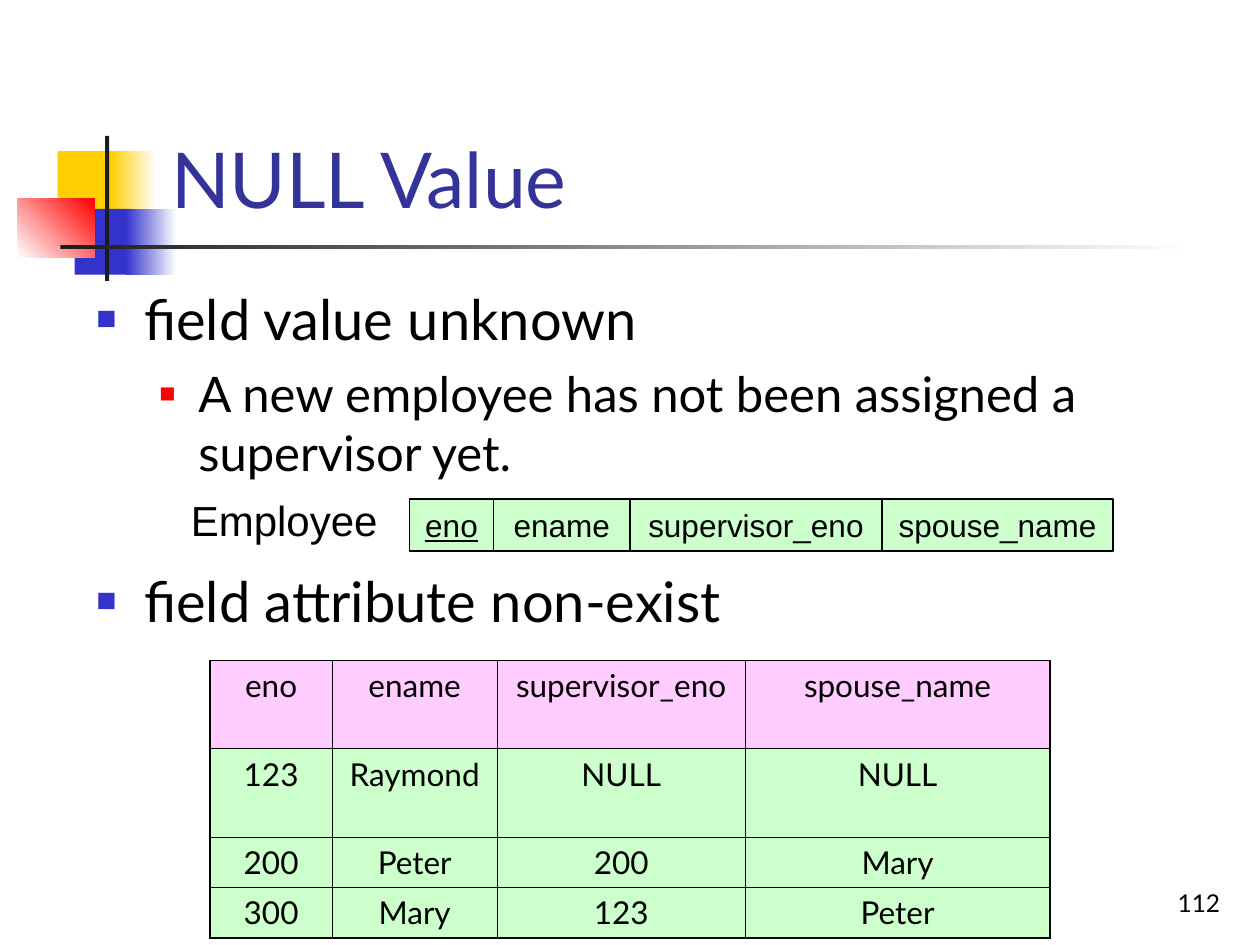
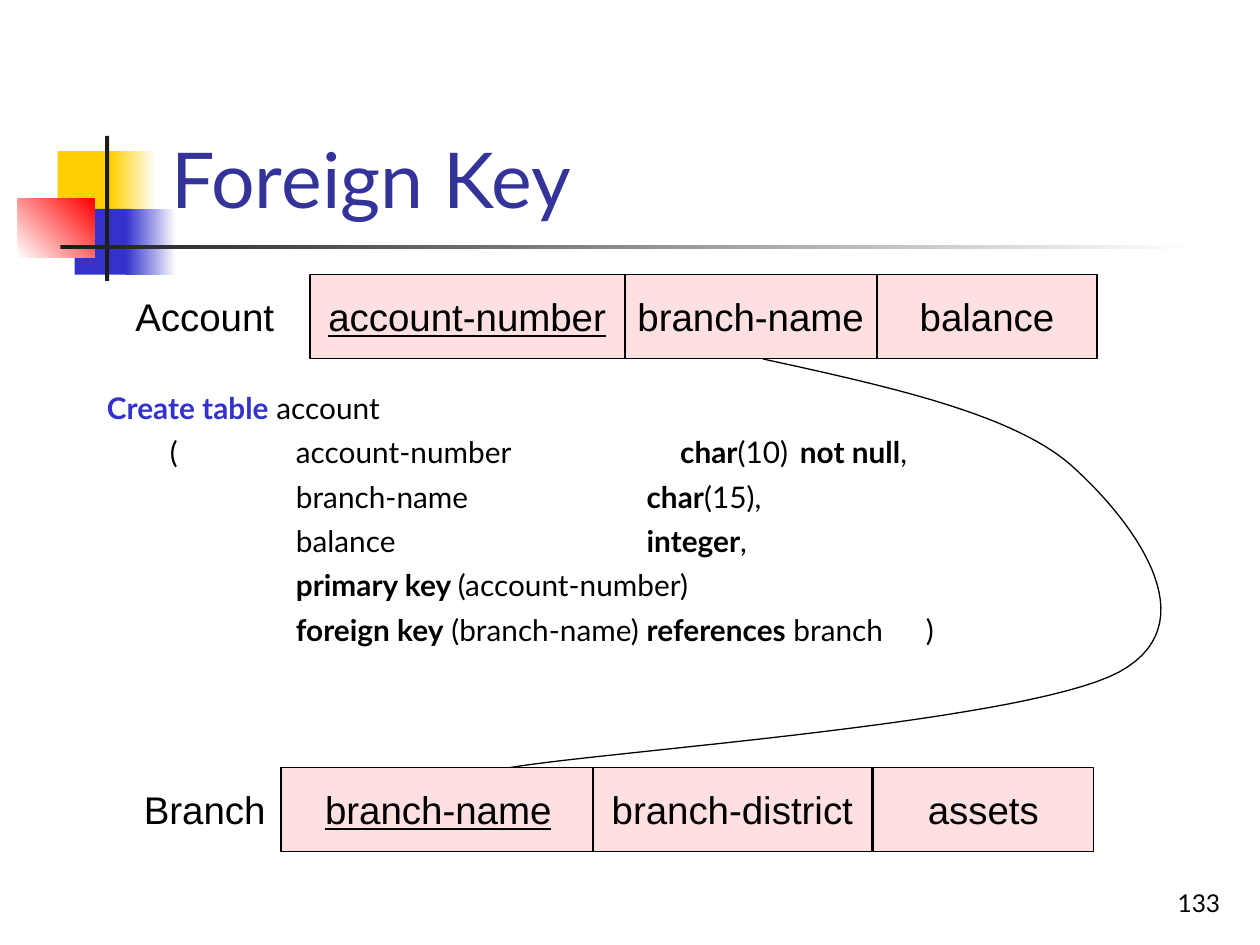
from lxml.etree import SubElement
from pptx import Presentation
from pptx.dml.color import RGBColor
from pptx.enum.shapes import MSO_SHAPE as Shape
from pptx.enum.text import MSO_ANCHOR as Anchor, MSO_AUTO_SIZE as AutoSize, PP_ALIGN as Align
from pptx.oxml.ns import qn
from pptx.util import Inches, Pt

# Shared look; every position is in grid units, 12 to the inch (120 columns, 90 rows)
UNITS_PER_INCH = 12
HEADING_FONT, LABEL_FONT = "Lato", "Arial"
BLACK, WHITE, CHARCOAL = "000000", "FFFFFF", "1C1C1C"
YELLOW, BLUE, RED, NAVY = "FFCF01", "3333CC", "FF0000", "333399"
GREEN, PINK, ROSE = "CCFFCC", "FFCCFF", "FFE0E0"

# Left, top, width, height, gradient or plain colours, angle
MOTIF = [
    (5.5, 14.4, 5.8, 6.25, [YELLOW], 0),
    (10.55, 14.4, 4.3, 6.25, [YELLOW, WHITE], 0),
    (7.1, 19.9, 5.5, 6.25, [BLUE], 0),
    (12, 19.9, 4.8, 6.25, [BLUE, WHITE], 0),
    (1.7, 18.95, 7.3, 5.55, [WHITE, RED], 45),
    (10, 12.95, 0.4, 13.8, [CHARCOAL], 0),
    (5.75, 23.35, 108, 0.4, [CHARCOAL, WHITE], 0),
]


def grid(*units):
    return [Inches(unit / UNITS_PER_INCH) for unit in units]


def color(hex_string):
    return RGBColor.from_string(hex_string)


def add_run(paragraph, text, size, font=HEADING_FONT, ink=BLACK, bold=False, underline=False):
    run = paragraph.add_run()
    run.text = text
    run.font.name, run.font.size = font, Pt(size)
    run.font.color.rgb = color(ink)
    run.font.bold, run.font.underline = bold, underline


def add_rectangle(slide, bounds, colors, angle=0, outline=None):
    shape = slide.shapes.add_shape(Shape.RECTANGLE, *grid(*bounds))
    shape.shadow.inherit = False
    if len(colors) == 1:
        shape.fill.solid()
        shape.fill.fore_color.rgb = color(colors[0])
    else:
        shape.fill.gradient()
        shape.fill.gradient_angle = angle
        for stop, hex_string in zip(shape.fill.gradient_stops, colors):
            stop.color.rgb = color(hex_string)
    if outline:
        shape.line.color.rgb = color(outline)
        shape.line.width = Pt(1)
    else:
        shape.line.fill.background()
    return shape


def add_text_box(slide, bounds, anchor=Anchor.TOP, wrap=True):
    frame = slide.shapes.add_textbox(*grid(*bounds)).text_frame
    frame.word_wrap, frame.vertical_anchor = wrap, anchor
    return frame


def add_label(slide, text, bounds, size, align=Align.CENTER, font=LABEL_FONT,
              anchor=Anchor.MIDDLE, wrap=False):
    paragraph = add_text_box(slide, bounds, anchor, wrap).paragraphs[0]
    paragraph.alignment = align
    add_run(paragraph, text, size, font)


def add_base_slide(presentation, title, number):
    slide = presentation.slides.add_slide(presentation.slide_layouts[5])
    for *bounds, colors, angle in MOTIF:
        add_rectangle(slide, bounds, colors, angle)
    add_label(slide, number, (92.4, 82, 25, 6), 14, Align.RIGHT, HEADING_FONT,
              Anchor.BOTTOM, wrap=True)

    # The title stands in front of the motif
    heading = slide.shapes.title
    heading.left, heading.top, heading.width, heading.height = grid(15.1, 2.75, 102.25, 19.2)
    frame = heading.text_frame
    frame.auto_size, frame.vertical_anchor = AutoSize.NONE, Anchor.BOTTOM
    frame.paragraphs[0].alignment = Align.LEFT
    add_run(frame.paragraphs[0], title, 44, ink=NAVY)
    heading.element.getparent().append(heading.element)
    return slide


def add_schema(slide, top, height, fields, fill, size):
    """A row of attribute boxes, of which the first is the underlined key."""
    for index, (name, left, width) in enumerate(fields):
        box = add_rectangle(slide, (left, top, width, height), [fill], outline=BLACK)
        frame = box.text_frame
        frame.word_wrap, frame.vertical_anchor = False, Anchor.MIDDLE
        frame.paragraphs[0].alignment = Align.CENTER
        add_run(frame.paragraphs[0], name, size, LABEL_FONT, underline=index == 0)


def next_paragraph(frame, index):
    return frame.add_paragraph() if index else frame.paragraphs[0]


def set_bullet(paragraph, margin, hanging, ink, percent):
    properties = paragraph._p.get_or_add_pPr()
    properties.set("marL", str(Inches(margin)))
    properties.set("indent", str(-Inches(hanging)))
    bullet_color = SubElement(properties, qn("a:buClr"))
    SubElement(bullet_color, qn("a:srgbClr"), val=ink)
    SubElement(properties, qn("a:buSzPct"), val=str(percent * 1000))
    SubElement(properties, qn("a:buFont"), typeface=LABEL_FONT)
    SubElement(properties, qn("a:buChar"), char="■")


def add_bullets(slide, bounds, items):
    styles = [(32, 0.38, 0.38, BLUE, 60), (28, 0.81, 0.31, RED, 55)]
    frame = add_text_box(slide, bounds)
    for index, (level, space_before, text) in enumerate(items):
        size, *bullet = styles[level]
        paragraph = next_paragraph(frame, index)
        set_bullet(paragraph, *bullet)
        paragraph.space_before = Pt(space_before)
        add_run(paragraph, text, size)


def set_borders(cell, widths):
    properties = cell._tc.get_or_add_tcPr()
    for side, width in zip("LRTB", widths):
        line = SubElement(properties, qn(f"a:ln{side}"), w=str(Pt(width)))
        fill = SubElement(line, qn("a:solidFill"))
        SubElement(fill, qn("a:srgbClr"), val=BLACK)


def add_records(slide, left, top, columns, heights, records):
    bounds = grid(left, top, sum(columns), sum(heights))
    table = slide.shapes.add_table(len(records), len(columns), *bounds).table
    for column, width in zip(table.columns, grid(*columns)):
        column.width = width
    for row, height in zip(table.rows, grid(*heights)):
        row.height = height
    last_row, last_column = len(records) - 1, len(columns) - 1
    for r, record in enumerate(records):
        for c, value in enumerate(record):
            cell = table.cell(r, c)
            on_edge = (c == 0, c == last_column, r == 0, r == last_row)
            set_borders(cell, [1.08 if edge else 0.45 for edge in on_edge])
            cell.fill.solid()
            cell.fill.fore_color.rgb = color(GREEN if r else PINK)
            paragraph = cell.text_frame.paragraphs[0]
            paragraph.alignment = Align.CENTER
            add_run(paragraph, value, 18)


def add_statement(slide, bounds, lines):
    """Each line is its tab stops, then runs of (text, bold, colour)."""
    frame = add_text_box(slide, bounds)
    for index, (stops, runs) in enumerate(lines):
        paragraph = next_paragraph(frame, index)
        tabs = SubElement(paragraph._p.get_or_add_pPr(), qn("a:tabLst"))
        for position in grid(*stops):
            SubElement(tabs, qn("a:tab"), pos=str(position), algn="l")
        if index:
            paragraph.space_before = Pt(5)
        for text, bold, ink in runs:
            add_run(paragraph, text, 17, ink=ink, bold=bold)


def plain(text):
    return text, False, BLACK


def keyword(text, ink=BLACK):
    return text, True, ink


def add_curve(slide, start, segments, steps=30):
    """A chain of cubic curves, each given by two handles and an end."""
    points, origin = [], start
    for first, second, end in segments:
        for step in range(1, steps + 1):
            t = step / steps
            weights = ((1 - t) ** 3, 3 * t * (1 - t) ** 2, 3 * t * t * (1 - t), t ** 3)
            knots = zip(origin, first, second, end)
            points.append(grid(*(sum(w * k for w, k in zip(weights, axis)) for axis in knots)))
        origin = end
    builder = slide.shapes.build_freeform(*grid(*start))
    builder.add_line_segments(points, close=False)
    curve = builder.convert_to_shape()
    curve.shadow.inherit = False
    curve.fill.background()
    curve.line.color.rgb = color(BLACK)
    curve.line.width = Pt(0.75)


def build_null_value(presentation):
    slide = add_base_slide(presentation, "NULL Value", "112")
    # The wide space before the last bullet leaves room for the schema
    add_bullets(slide, (8, 26.5, 109.4, 34.5), [
        (0, 0, "field value unknown"),
        (1, 7, "A new employee has not been assigned a supervisor yet."),
        (0, 48.6, "field attribute non-exist"),
    ])
    add_label(slide, "Employee", (17, 46.55, 20.2, 6), 24, Align.LEFT, anchor=Anchor.TOP)
    add_schema(slide, 47.5, 5, [
        ("eno", 39, 8), ("ename", 47, 13), ("supervisor_eno", 60, 24), ("spouse_name", 84, 22),
    ], GREEN, 18)
    add_records(slide, 20, 62.9, (11.65, 15.7, 23.65, 29), (8.4, 8.4, 4.8, 4.8), [
        ("eno", "ename", "supervisor_eno", "spouse_name"),
        ("123", "Raymond", "NULL", "NULL"),
        ("200", "Peter", "200", "Mary"),
        ("300", "Mary", "123", "Peter"),
    ])


def build_foreign_key(presentation):
    slide = add_base_slide(presentation, "Foreign Key", "133")
    add_statement(slide, (9, 36.5, 104, 32.2), [
        ((), [keyword("Create table", BLUE), plain(" account")]),
        ((6, 18, 54.6, 66), [plain("\t(\taccount-number\t"), keyword("char"), plain("(10)\t"),
                             keyword("not null"), plain(",")]),
        ((18, 51.4), [plain("\tbranch-name\t"), keyword("char"), plain("(15),")]),
        ((18, 51.4), [plain("\tbalance\t"), keyword("integer"), plain(",")]),
        ((18,), [plain("\t"), keyword("primary key "), plain("(account-number)")]),
        ((18, 78), [plain("\t"), keyword("foreign key"), plain(" (branch-name) "),
                    keyword("references"), plain(" branch\t)")]),
    ])

    # The two schemas
    schemas = [
        ("Account", 26.15, [("account-number", 29.5, 30), ("branch-name", 59.5, 24),
                            ("balance", 83.5, 21)]),
        ("Branch", 73.1, [("branch-name", 26.75, 30), ("branch-district", 56.5, 26.5),
                          ("assets", 83.15, 21)]),
    ]
    for name, top, fields in schemas:
        add_schema(slide, top, 8, fields, ROSE, 22)
        add_label(slide, name, (9.5, top, 20, 8), 22)

    # The reference from account to branch
    add_curve(slide, (72.7, 34.2), [
        ((84.6, 36.8), (96.4, 39.4), (102, 44.3)),
        ((107.6, 49.3), (115.4, 59.2), (106.6, 64)),
        ((97.7, 68.8), (58.2, 71.5), (48.6, 73.1)),
    ])


def main():
    presentation = Presentation()
    presentation.slide_width, presentation.slide_height = grid(120, 90)
    build_null_value(presentation)
    build_foreign_key(presentation)
    presentation.save("out.pptx")


if __name__ == "__main__":
    main()
